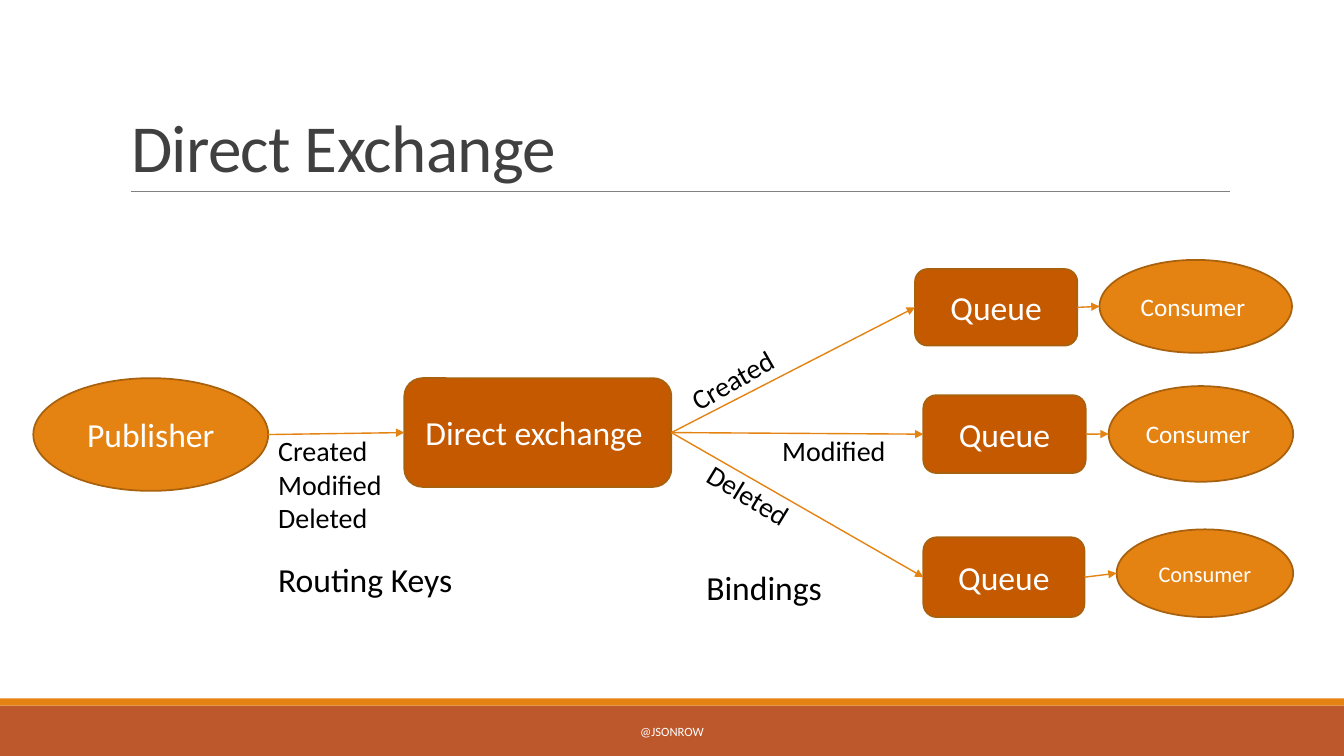
from pptx import Presentation
from pptx import util as u
from pptx.dml.color import RGBColor
from pptx.enum import shapes, text
from pptx.oxml import parse_xml
from pptx.oxml.ns import nsdecls, qn

FONT = "Calibri"
ORANGE, RUST, DARK, OUTLINE = "E48312", "C45900", "BD582C", "A9610D"
WHITE, BLACK, GREY, RULE = "FFFFFF", "000000", "404040", "808080"
RECT = shapes.MSO_SHAPE.RECTANGLE
ROUND = shapes.MSO_SHAPE.ROUNDED_RECTANGLE
OVAL = shapes.MSO_SHAPE.OVAL
LEFT_SIDE, RIGHT_SIDE = 1, 3

# Content: places are left, top, width, height in centimetres
TITLE = ("Direct Exchange", (3.05, 0.79, 27.94, 4.04))
BANDS = [((0, 17.78, 33.87, 1.27), DARK), ((0, 17.6, 33.87, 0.18), ORANGE)]
PUBLISHER = ("Publisher", (0.84, 9.53, 5.92, 2.84), 24)
EXCHANGE = ("Direct exchange ", (10.19, 9.53, 6.73, 2.74), 24)
ROUTES = [  # queue place, consumer label, place and size
    ((23.06, 6.78, 4.09, 1.93), ("Consumer ", (27.71, 6.55, 4.85, 2.34), 18)),
    ((23.27, 9.96, 4.09, 1.96), ("Consumer ", (27.94, 9.73, 4.65, 2.41), 18)),
    ((23.27, 13.54, 4.06, 2.01), ("Consumer", (28.14, 13.34, 4.45, 2.21), 16)),
]
LABELS = [  # lines, place, size, rotation, wraps
    (["Created", "Modified", "Deleted"], (6.76, 10.8, 3.76, 3.84), 20, 0, True),
    (["Routing Keys"], (6.76, 13.97, 5.08, 1.27), 24, 0, True),
    (["Created"], (16.84, 8.13, 6.35, 1.12), 20, 330.2, True),
    (["Modified"], (19.46, 10.8, 6.35, 1.12), 20, 0, True),
    (["Deleted"], (17.22, 12.85, 6.35, 1.12), 20, 31.3, True),
    (["Bindings"], (17.55, 14.17, 3.63, 1.27), 24, 0, False),
]
FOOTER = ("@JSONROW", (10.24, 17.93, 13.39, 1.02))


def color(value):
    return RGBColor.from_string(value)


def lengths(place):
    return [u.Cm(value) for value in place]


def write(box, lines, size, ink, align, anchor, wrap=True):
    frame = box.text_frame
    frame.word_wrap = wrap
    frame.vertical_anchor = anchor
    frame.text = "\n".join(lines)
    for para in frame.paragraphs:
        para.alignment = align
        para.font.name = FONT
        para.font.size = u.Pt(size)
        para.font.color.rgb = color(ink)


def add_box(page, kind, place, fill, outline=None):
    box = page.shapes.add_shape(kind, *lengths(place))
    box.shadow.inherit = False
    box.fill.solid()
    box.fill.fore_color.rgb = color(fill)
    if outline:
        box.line.color.rgb = color(outline)
        box.line.width = u.Pt(1.25)
    else:
        box.line.fill.background()
    return box


def add_node(page, kind, label, place, size, fill):
    box = add_box(page, kind, place, fill, OUTLINE)
    write(box, [label], size, WHITE, text.PP_ALIGN.CENTER, text.MSO_ANCHOR.MIDDLE)
    return box


def add_label(page, lines, place, size, ink=BLACK, align=text.PP_ALIGN.LEFT,
              anchor=text.MSO_ANCHOR.TOP, wrap=True):
    box = page.shapes.add_textbox(*lengths(place))
    write(box, lines, size, ink, align, anchor, wrap)
    return box


def add_line(page, start, end, ink, width):
    line = page.shapes.add_connector(shapes.MSO_CONNECTOR.STRAIGHT, *start, *end)
    line.line.color.rgb = color(ink)
    line.line.width = u.Pt(width)
    line._element.spPr.append(parse_xml(f"<a:effectLst {nsdecls('a')}/>"))
    return line


def add_arrow(page, source, target):
    """Run from the right side of source to the left side of target."""
    start = source.left + source.width, source.top + source.height // 2
    end = target.left, target.top + target.height // 2
    arrow = add_line(page, start, end, ORANGE, 1)
    if source.auto_shape_type == ROUND:
        arrow.begin_connect(source, RIGHT_SIDE)
    if target.auto_shape_type == ROUND:
        arrow.end_connect(target, LEFT_SIDE)
    head = parse_xml(f'<a:tailEnd {nsdecls("a")} type="triangle"/>')
    arrow._element.spPr.find(qn("a:ln")).append(head)


def main():
    deck = Presentation()
    deck.slide_width, deck.slide_height = u.Cm(33.87), u.Cm(19.05)
    page = deck.slides.add_slide(deck.slide_layouts[5])

    # Footer bands and title rule
    for place, fill in BANDS:
        add_box(page, RECT, place, fill)
    add_line(page, lengths((3.3, 4.83)), lengths((30.99, 4.83)), RULE, 0.5)

    # Title
    label, place = TITLE
    title = page.shapes.title
    title.left, title.top, title.width, title.height = lengths(place)
    write(title, [label], 48, GREY, text.PP_ALIGN.LEFT, text.MSO_ANCHOR.BOTTOM)
    title.text_frame.auto_size = text.MSO_AUTO_SIZE.NONE
    para = title.text_frame.paragraphs[0]
    para.line_spacing = 0.85
    para.runs[0]._r.get_or_add_rPr().set("spc", "-50")

    # Publisher, exchange, then each queue with its consumer
    publisher = add_node(page, OVAL, *PUBLISHER, ORANGE)
    exchange = add_node(page, ROUND, *EXCHANGE, RUST)
    add_arrow(page, publisher, exchange)
    for queue_place, consumer_content in ROUTES:
        queue = add_node(page, ROUND, "Queue", queue_place, 24, RUST)
        consumer = add_node(page, OVAL, *consumer_content, ORANGE)
        add_arrow(page, exchange, queue)
        add_arrow(page, queue, consumer)

    # Routing keys and bindings
    for lines, place, size, rotation, wrap in LABELS:
        add_label(page, lines, place, size, wrap=wrap).rotation = rotation

    # Footer text
    label, place = FOOTER
    add_label(page, [label], place, 9, WHITE, text.PP_ALIGN.CENTER,
              text.MSO_ANCHOR.MIDDLE)
    deck.save("out.pptx")


if __name__ == "__main__":
    main()
